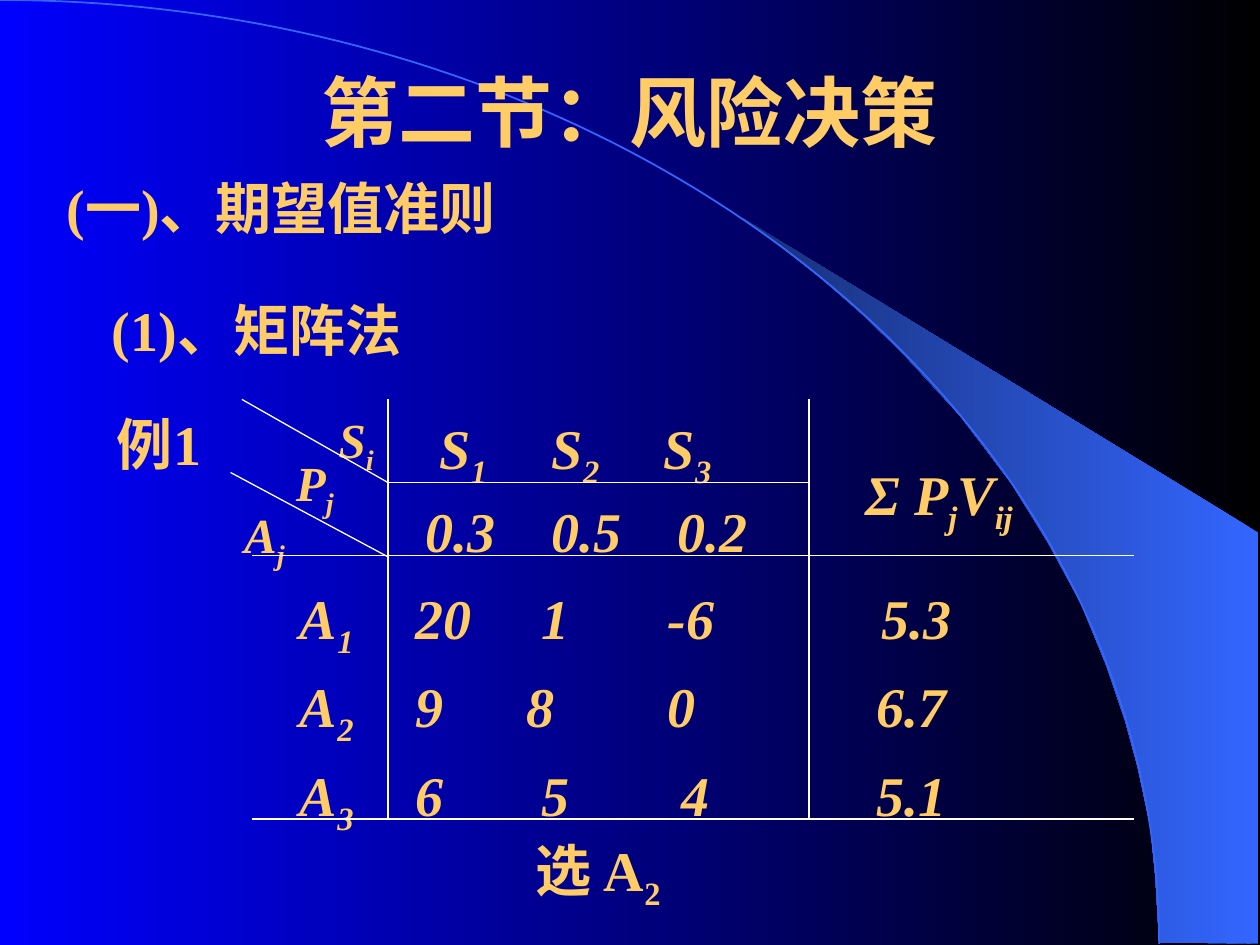
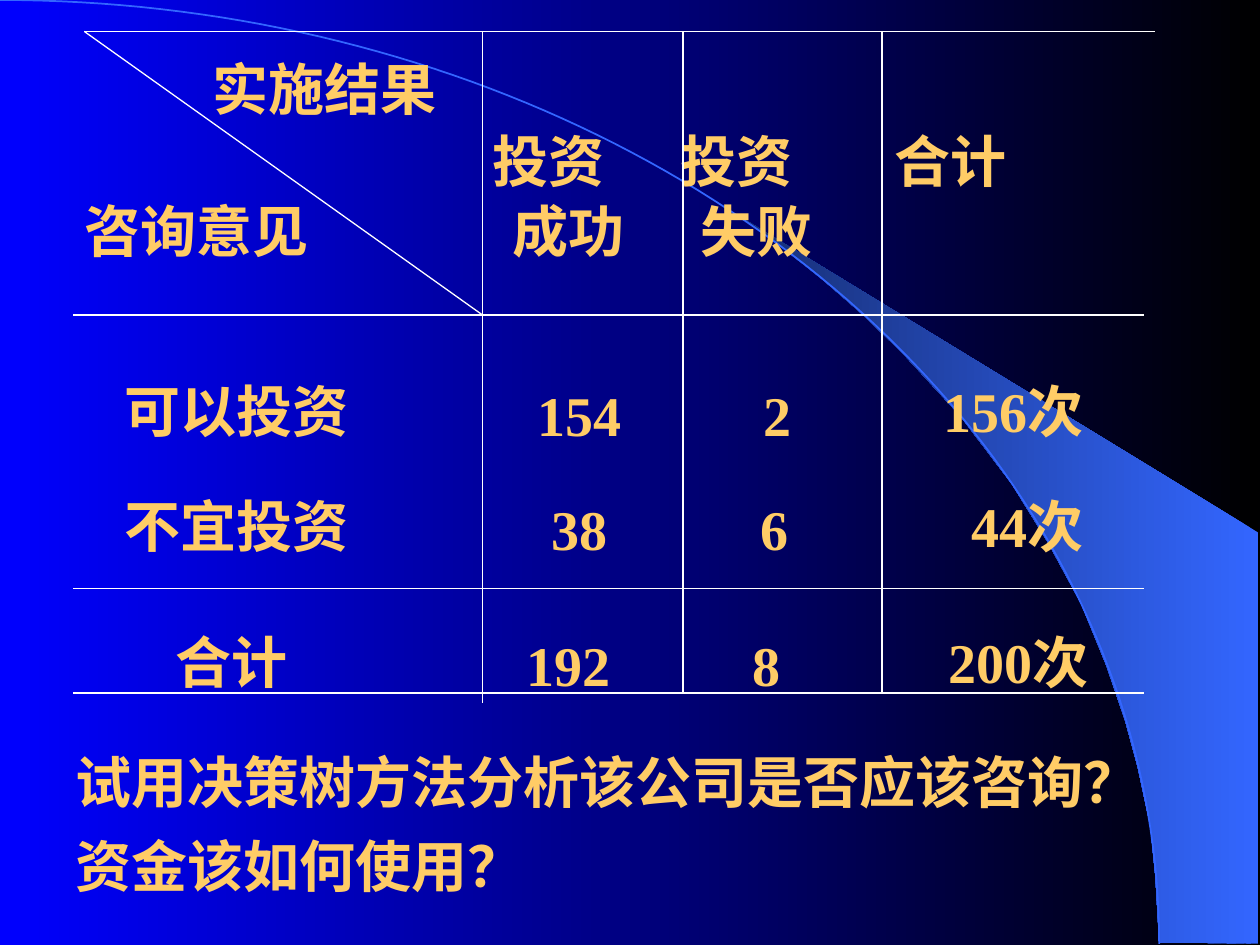
import math
import pptx
import pptx.util
import pptx.dml.color
import pptx.enum.text
import pptx.oxml.ns
from lxml import etree

Inches = pptx.util.Inches
Pt = pptx.util.Pt
PP_ALIGN = pptx.enum.text.PP_ALIGN
ANCHOR = pptx.enum.text.MSO_ANCHOR
qn = pptx.oxml.ns.qn

GOLD, WHITE, BLACK = "FFCC66", "FFFFFF", "000000"
BLUE, SKY, NAVY = "0000FF", "3366FF", "172F75"
NO_GRID_STYLE = "{2D5ABB26-0587-4C30-8999-92F81FD0307C}"


def paint(target, *colors):
    if len(colors) == 1:
        target.rgb = pptx.dml.color.RGBColor.from_string(colors[0])
        return
    target.gradient()
    target.gradient_angle = 180
    for stop, color in zip(target.gradient_stops, colors):
        stop.color.rgb = pptx.dml.color.RGBColor.from_string(color)


def write(p, text, size=32, italic=False, font="Times New Roman", **paragraph_format):
    for name, value in paragraph_format.items():
        setattr(p, name, value)
    for i, part in enumerate(text.split("_")):
        r = p.add_run()
        r.text = part
        fmt = {"size": Pt(size), "bold": True, "italic": italic, "name": font}
        for name, value in fmt.items():
            setattr(r.font, name, value)
        paint(r.font.color, GOLD)
        if i % 2:
            r.font._element.set("baseline", "-25000")


swoosh = [
    (9.2, 7.48), (9.99, 7.49), (9.99, 4.23), (5.89, 1.73), (6.24, 1.99), (6.53, 2.22),
    (6.85, 2.5), (7.16, 2.8), (7.62, 3.3), (8.03, 3.84), (8.32, 4.31), (8.58, 4.79),
    (8.78, 5.28), (8.93, 5.72), (9.03, 6.09), (9.13, 6.56), (9.17, 6.96),
]
arc = [
    (9.2 * math.sin(math.radians(a)), 7.49 * (1 - math.cos(math.radians(a))))
    for a in range(0, 91)
]

small = {"size": 28, "italic": True, "line_spacing": 1.7}
matrix = {
    "texts": [
        (0.75, 0.25, 8.5, 1.25, ANCHOR.MIDDLE,
         [("第二节：风险决策", {"size": 44, "font": "Arial", "alignment": PP_ALIGN.CENTER})]),
        (0.43, 1.33, 4.5, 0.64, ANCHOR.TOP, [("(一)、期望值准则", {})]),
        (0.79, 1.92, 3.2, 1.01, ANCHOR.TOP, [("(1)、矩阵法", {"line_spacing": 1.7})]),
        (0.83, 2.83, 3.25, 1.01, ANCHOR.TOP, [("例1", {"line_spacing": 1.7})]),
        (2.59, 2.83, 0.7, 1.01, ANCHOR.TOP, [("S_i", small)]),
        (2.25, 3.17, 0.7, 1.01, ANCHOR.TOP, [("P_j", small)]),
        (1.84, 3.58, 0.7, 1.01, ANCHOR.TOP, [("A_j", small)]),
        (6.77, 3.17, 1.8, 1.13, ANCHOR.TOP,
         [("Σ P_j_V_ij", {"italic": True, "line_spacing": 1.7})]),
        (0.58, 6.58, 8.33, 0.71, ANCHOR.TOP,
         [("选 A_2", {"alignment": PP_ALIGN.CENTER})]),
    ],
    "top": 3.33,
    "columns": [2, 3.08, 4.18, 5.18, 6.42, 9],
    "heights": [0.66, 0.69, 0.7, 0.7, 0.6],
    "anchor": ANCHOR.TOP,
    "format": {"italic": True},
    "cells": [
        [None, ("S_1", 3.49), ("S_2", 4.38), ("S_3", 5.27), None],
        [None, ("0.3", 3.38), ("0.5", 4.38), ("0.2", 5.38), None],
        [("A_1", 2.38), ("20", 3.3), ("1", 4.3), ("-6", 5.3), ("5.3", 7)],
        [("A_2", 2.38), ("9", 3.3), ("8", 4.18), ("0", 5.3), ("6.7", 6.96)],
        [("A_3", 2.38), ("6", 3.3), ("5", 4.3), ("4", 5.41), ("5.1", 6.96)],
    ],
    "rules": [
        (2, 4.41, 9, 4.41), (2, 6.5, 9, 6.5), (3.08, 6.5, 3.08, 3.17),
        (6.42, 6.5, 6.42, 3.17), (3.08, 3.83, 6.42, 3.83),
        (3.08, 3.83, 1.92, 3.17), (3.08, 4.42, 1.83, 3.75),
    ],
}
consulting = {
    "texts": [
        (0.5, 5.83, 9.5, 1.34, ANCHOR.TOP, [
            ("试用决策树方法分析该公司是否应该咨询？", {"line_spacing": 1.1}),
            ("资金该如何使用？", {"line_spacing": 0.7, "space_before": Pt(20)}),
        ]),
    ],
    "top": 0.25,
    "columns": [0.58, 3.83, 5.4, 7, 9.08],
    "heights": [0.73, 0.57, 0.56, 1.43, 0.91, 1.08],
    "anchor": ANCHOR.BOTTOM,
    "format": {"line_spacing": 0.8},
    "cells": [
        [("实施结果", 1.69), None, None, None],
        [None, ("投资", 3.91), ("投资", 5.4), ("合计", 7.1)],
        [("咨询意见", 0.67), ("成功", 4.07), ("失败", 5.56), None],
        [("可以投资", 0.99), ("154", 4.27), ("2", 6.06), ("156次", 7.49)],
        [("不宜投资", 0.99), ("38", 4.38), ("6", 6.04), ("44次", 7.71)],
        [("合计", 1.39), ("192", 4.18), ("8", 5.97), ("200次", 7.53)],
    ],
    "rules": [
        (0.67, 0.25, 9.17, 0.25), (3.83, 0.25, 3.83, 5.58), (5.42, 0.25, 5.42, 5.5),
        (7, 0.25, 7, 5.5), (0.67, 0.25, 3.83, 2.5),
    ] + [(0.58, y, 9.08, y) for y in (2.5, 4.67, 5.5)],
}

prs = pptx.Presentation()
prs.slide_width, prs.slide_height = Inches(10), Inches(7.5)

for content in (matrix, consulting):
    s = prs.slides.add_slide(prs.slide_layouts[6])
    paint(s.background.fill, BLACK, BLUE)

    for points, closed in ((swoosh, True), (arc, False)):
        outline = [(Inches(x), Inches(y)) for x, y in points]
        fb = s.shapes.build_freeform(*outline[0])
        fb.add_line_segments(outline[1:], close=closed)
        sp = fb.convert_to_shape()
        sp.shadow.inherit = False
        if closed:
            paint(sp.fill, SKY, NAVY)
            sp.line.fill.background()
        else:
            sp.fill.background()
            paint(sp.line.color, SKY)
            sp.line.width = Pt(1)

    for left, top, width, height, anchor, paragraphs in content["texts"]:
        sp = s.shapes.add_textbox(Inches(left), Inches(top), Inches(width), Inches(height))
        tf = sp.text_frame
        tf.word_wrap = True
        tf.vertical_anchor = anchor
        for i, (text, fmt) in enumerate(paragraphs):
            write(tf.add_paragraph() if i else tf.paragraphs[0], text, **fmt)

    columns, heights = content["columns"], content["heights"]
    gf = s.shapes.add_table(
        len(heights), len(columns) - 1, Inches(columns[0]), Inches(content["top"]),
        Inches(columns[-1] - columns[0]), Inches(sum(heights)))
    table = gf.table
    table.first_row = table.horz_banding = False
    next(gf._element.iter(qn("a:tableStyleId"))).text = NO_GRID_STYLE
    for column, x, right in zip(table.columns, columns, columns[1:]):
        column.width = Inches(right - x)
    for row, height, entries in zip(table.rows, heights, content["cells"]):
        row.height = Inches(height)
        for cell, x, entry in zip(row.cells, columns, entries):
            cell.margin_left = cell.margin_right = cell.margin_top = cell.margin_bottom = 0
            cell.vertical_anchor = content["anchor"]
            for side in ("a:lnL", "a:lnR", "a:lnT", "a:lnB"):
                border = etree.SubElement(cell._tc.get_or_add_tcPr(), qn(side))
                etree.SubElement(border, qn("a:noFill"))
            cell.fill.background()
            if entry:
                cell.margin_left = Inches(entry[1] - x)
                write(cell.text_frame.paragraphs[0], entry[0], **content["format"])

    for rule in content["rules"]:
        line = s.shapes.add_connector(1, *[Inches(v) for v in rule])
        paint(line.line.color, WHITE)
        line.line.width = Pt(0.75)
        etree.SubElement(line._element.spPr, qn("a:effectLst"))

prs.save("out.pptx")
